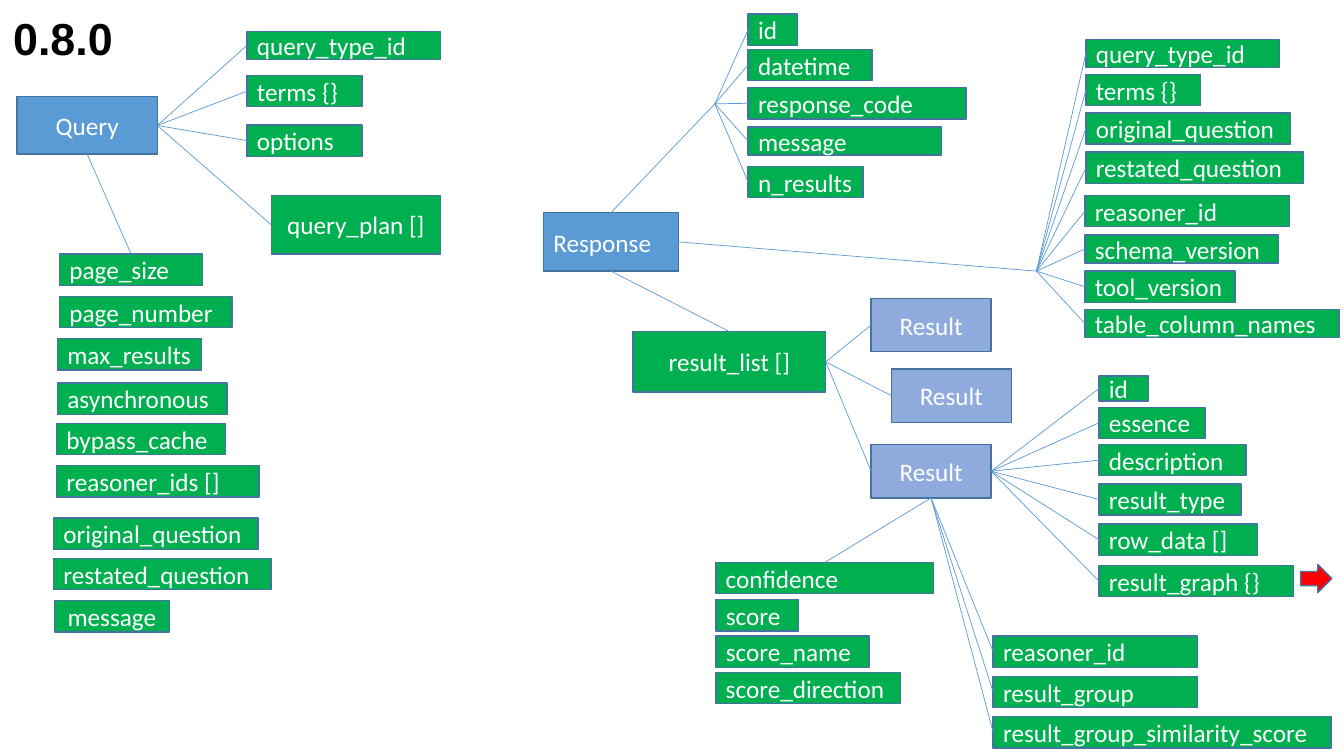
import lxml.etree
import pptx
import pptx.dml.color
import pptx.enum.shapes
import pptx.enum.text
import pptx.oxml.ns
import pptx.util

Inches = pptx.util.Inches
Pt = pptx.util.Pt
SHAPES = pptx.enum.shapes.MSO_SHAPE
LEFT = pptx.enum.text.PP_ALIGN.LEFT
CENTER = pptx.enum.text.PP_ALIGN.CENTER
TOP_SITE, LEFT_SITE, BOTTOM_SITE, RIGHT_SITE = range(4)
ENTITY, FIELD, RESULT, GRAPH_ARROW = "5B9BD5", "00B050", "8FAADC", "FF0000"
OUTLINE, LINK, LABEL, HEADING = "43739E", "5B9BD5", "FFFFFF", "000000"
FIELD_HEIGHT = 0.31


def colour(hex_code):
    """Turn a hex string into a colour."""
    return pptx.dml.color.RGBColor.from_string(hex_code)


def add_block(slide, place, fill, kind=SHAPES.RECTANGLE):
    """Add a filled, outlined shape at left, top, width, height."""
    block = slide.shapes.add_shape(kind, *map(Inches, place))
    block.shadow.inherit = False
    block.fill.solid()
    block.fill.fore_color.rgb = colour(fill)
    block.line.color.rgb = colour(OUTLINE)
    block.line.width = Pt(1)
    return block


def add_node(slide, label, place, fill, align=CENTER):
    """Add a labelled rectangle."""
    node = add_block(slide, place, fill)
    node.text_frame.text = label
    node.text_frame.vertical_anchor = pptx.enum.text.MSO_ANCHOR.MIDDLE
    paragraph = node.text_frame.paragraphs[0]
    paragraph.alignment = align
    paragraph.font.name = "Calibri"
    paragraph.font.size = Pt(18)
    paragraph.font.color.rgb = colour(LABEL)
    return node


def add_fields(slide, left, top, rows):
    """Add left-aligned fields from rows of label, offset, width and optional height."""
    return [
        add_node(slide, label, (left, top + offset, width, *(height or [FIELD_HEIGHT])), FIELD, LEFT)
        for label, offset, width, *height in rows
    ]


def link(slide, child, child_site, parent=None, parent_site=None, hub=(0, 0)):
    """Draw a thin line from a child to its parent, or to a free hub point."""
    line = slide.shapes.add_connector(
        pptx.enum.shapes.MSO_CONNECTOR.STRAIGHT, 0, 0, *map(Inches, hub))
    line.begin_connect(child, child_site)
    if parent is not None:
        line.end_connect(parent, parent_site)
    line.line.color.rgb = colour(LINK)
    line.line.width = Pt(0.5)
    properties = line._element.spPr
    lxml.etree.SubElement(properties, pptx.oxml.ns.qn("a:effectLst"))


def draw_version(slide, left, top):
    """Put the version number in the title placeholder."""
    version = slide.shapes.title
    version.left, version.top, version.width, version.height = map(
        Inches, (left, top, 1.2, 0.64))
    version.text_frame.text = "0.8.0"
    version.text_frame.word_wrap = False
    version.text_frame.vertical_anchor = pptx.enum.text.MSO_ANCHOR.TOP
    version.text_frame.auto_size = pptx.enum.text.MSO_AUTO_SIZE.NONE
    paragraph = version.text_frame.paragraphs[0]
    paragraph.alignment = LEFT
    paragraph.font.name = "Arial"
    paragraph.font.size = Pt(32)
    paragraph.font.bold = True
    paragraph.font.color.rgb = colour(HEADING)


def draw_query(slide, left, top):
    """Draw the query with its terms, plan and options."""
    query = add_node(slide, "Query", (left, top + 0.65, 1.39, 0.57), ENTITY)
    parts = add_fields(slide, left + 2.28, top, [
        ("query_type_id", 0, 1.92, 0.28),
        ("terms {}", 0.44, 1.14),
        ("options", 0.93, 1.14),
    ])
    parts.append(add_node(slide, "query_plan []", (left + 2.52, top + 1.63, 1.68, 0.58), FIELD))
    for part in parts:
        link(slide, part, LEFT_SITE, query, RIGHT_SITE)

    page_size, _ = add_fields(slide, left + 0.42, top, [
        ("page_size", 2.21, 1.42),
        ("page_number", 2.63, 1.71),
    ])
    add_fields(slide, left + 0.4, top, [
        ("max_results", 3.05, 1.43),
        ("asynchronous", 3.49, 1.68),
    ])
    add_fields(slide, left + 0.39, top, [
        ("bypass_cache", 3.89, 1.68),
        ("reasoner_ids []", 4.31, 2.01),
    ])
    add_fields(slide, left + 0.36, top, [
        ("original_question", 4.83, 2.03),
        ("restated_question", 5.23, 2.16),
    ])
    add_node(slide, "message", (left + 0.37, top + 5.65, 1.14, FIELD_HEIGHT), FIELD)
    link(slide, page_size, TOP_SITE, query, BOTTOM_SITE)


def draw_response(slide, left, top):
    """Draw the response with its fields and return its result list."""
    response = add_node(slide, "Response", (left, top + 1.97, 1.34, 0.58), ENTITY, LEFT)
    result_list = add_node(slide, "result_list []", (left + 0.89, top + 3.15, 1.91, 0.6), FIELD)
    link(slide, result_list, TOP_SITE, response, BOTTOM_SITE)
    status = add_fields(slide, left + 2.03, top, [
        ("id", 0, 0.49),
        ("datetime", 0.35, 1.23),
        ("response_code", 0.73, 2.16),
        ("message", 1.12, 1.92, 0.28),
        ("n_results", 1.51, 1.14),
    ])
    context = add_fields(slide, left + 5.38, top, [
        ("query_type_id", 0.25, 1.92, 0.28),
        ("terms {}", 0.6, 1.14),
        ("original_question", 0.98, 2.03),
        ("restated_question", 1.37, 2.16),
    ])
    context += add_fields(slide, left + 5.37, top, [
        ("reasoner_id", 1.8, 2.03),
        ("schema_version", 2.19, 1.92, 0.28),
        ("tool_version", 2.55, 1.49),
        ("table_column_names", 2.93, 2.52, 0.28),
    ])
    status_hub = (left + 1.7, top + 0.89)
    context_hub = (left + 4.89, top + 2.55)
    for fields, site, hub in ((status, TOP_SITE, status_hub), (context, RIGHT_SITE, context_hub)):
        link(slide, response, site, hub=hub)
        for field in fields:
            link(slide, field, LEFT_SITE, hub=hub)
    return result_list


def draw_results(slide, left, top, result_list):
    """Draw the results of the list and the fields of the last one."""
    for across, down in ((1.54, 0), (1.74, 0.7), (1.54, 1.45)):
        result = add_node(slide, "Result", (left + across, top + down, 1.19, 0.53), RESULT)
        link(slide, result, LEFT_SITE, result_list, RIGHT_SITE)

    details = add_fields(slide, left + 3.8, top, [
        ("id", 0.77, 0.49, 0.25),
        ("essence", 1.08, 1.05),
        ("description", 1.45, 1.46),
        ("result_type", 1.84, 1.41),
        ("row_data []", 2.24, 1.57),
        ("result_graph {}", 2.65, 1.93),
    ])
    confidence, *_ = add_fields(slide, left, top, [
        ("confidence", 2.62, 2.16),
        ("score", 2.99, 0.82),
        ("score_name", 3.35, 1.52),
        ("score_direction", 3.71, 1.83),
    ])
    grouping = add_fields(slide, left + 2.75, top, [
        ("reasoner_id", 3.35, 2.03),
        ("result_group", 3.75, 2.03),
        ("result_group_similarity_score", 4.15, 3.35),
    ])
    for detail in details:
        link(slide, detail, LEFT_SITE, result, RIGHT_SITE)
    for group_field in grouping:
        link(slide, group_field, LEFT_SITE, result, BOTTOM_SITE)
    link(slide, confidence, TOP_SITE, result, BOTTOM_SITE)
    add_block(slide, (left + 5.8, top + 2.64, 0.31, 0.28), GRAPH_ARROW, SHAPES.RIGHT_ARROW)


deck = pptx.Presentation()
deck.slide_width, deck.slide_height = Inches(13.33), Inches(7.5)
schema = deck.slides.add_slide(deck.slide_layouts.get_by_name("Title Only"))
draw_version(schema, 0.03, 0.06)
draw_query(schema, 0.17, 0.31)
response_results = draw_response(schema, 5.39, 0.14)
draw_results(schema, 7.1, 2.96, response_results)
deck.save("out.pptx")
